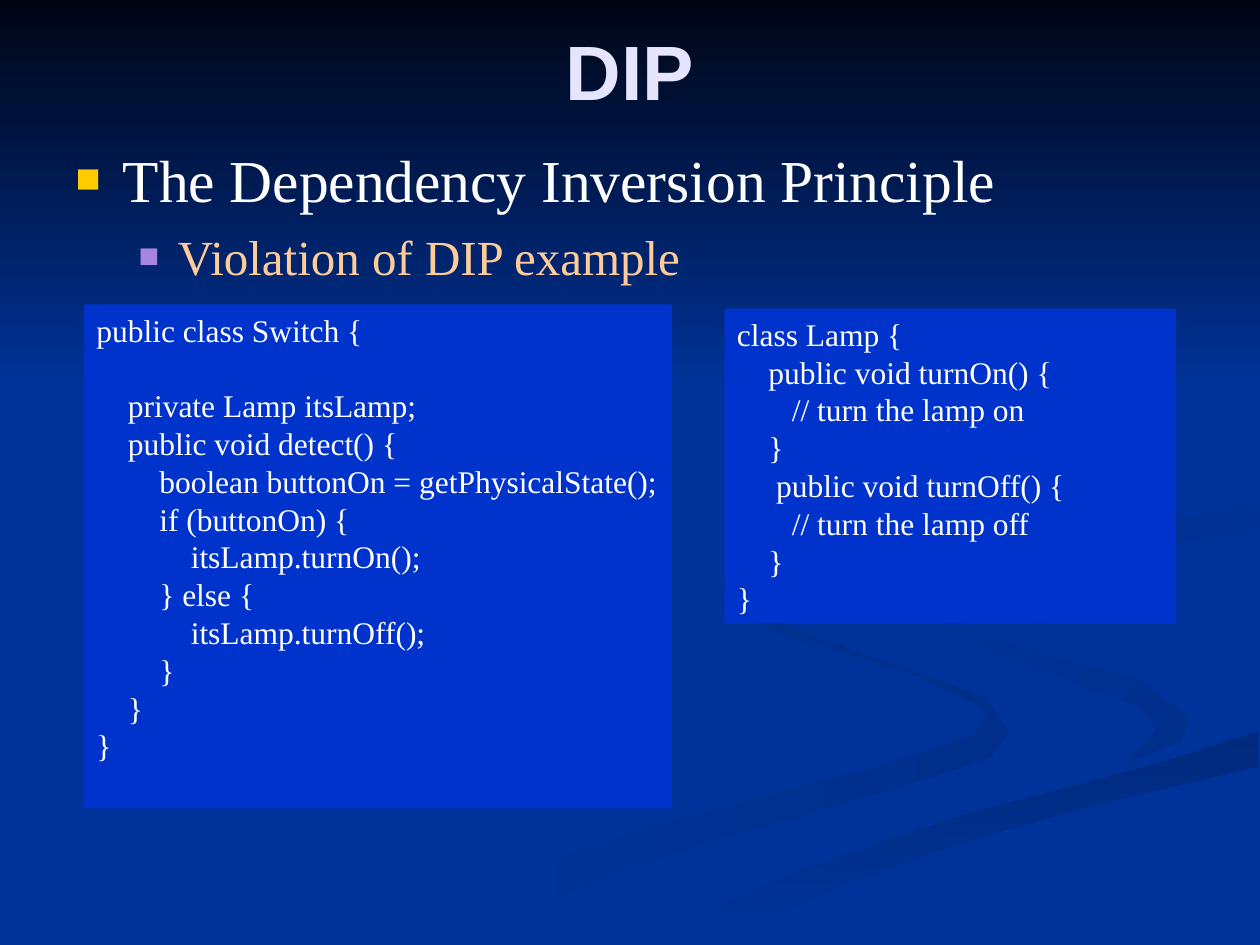
import pptx
import pptx.util
import pptx.dml.color
import pptx.enum.shapes
import pptx.enum.text
from lxml import etree

Pt = pptx.util.Pt
ALIGN = pptx.enum.text.PP_ALIGN
ANCHOR = pptx.enum.text.MSO_ANCHOR
RECTANGLE = pptx.enum.shapes.MSO_SHAPE.RECTANGLE
NAVY = "003399"


def color(value):
    return pptx.dml.color.RGBColor.from_string(value)


def add_run(paragraph, text, size, font, value):
    run = paragraph.add_run()
    run.text = text
    run.font.size = Pt(size)
    run.font.name = font
    run.font.color.rgb = color(value)
    return run


deck = pptx.Presentation()
deck.slide_width, deck.slide_height = Pt(720), Pt(540)
slide = deck.slides.add_slide(deck.slide_layouts[1])
slide.background.fill.solid()
slide.background.fill.fore_color.rgb = color(NAVY)

# Background swirls: start colour, end colour, clockwise angle, outline in points
swirls = [
    (NAVY, "002E8B", 0, [
        (414, 330), (412, 343), (440, 360), (524, 386), (565, 406), (557, 420), (503, 438),
        (388, 467), (300, 497), (216, 539), (260, 539), (359, 495), (503, 453), (566, 433),
        (576, 418), (562, 398), (491, 373), (428, 349)]),
    (NAVY, "002E8B", 45, [
        (679, 410), (652, 389), (557, 362), (521, 334), (537, 360), (603, 386),
        (653, 405), (661, 418), (644, 436), (675, 423)]),
    ("002A7D", NAVY, 90, [
        (362, 539), (411, 539), (467, 511), (541, 484), (620, 461), (719, 438), (719, 418),
        (663, 436), (550, 466), (454, 499)]),
    ("002D86", NAVY, 45, [
        (562, 331), (566, 341), (595, 357), (580, 343), (587, 330), (632, 316), (719, 302),
        (719, 289), (623, 305), (575, 318)]),
    ("002B82", NAVY, 45, [
        (492, 310), (594, 289), (636, 267), (641, 233), (607, 198), (549, 168), (609, 201),
        (640, 241), (620, 266), (487, 298), (430, 315), (416, 333), (448, 360), (427, 338),
        (442, 323)]),
]
backdrop = []
for start, end, angle, outline in swirls:
    builder = slide.shapes.build_freeform(*outline[0], scale=Pt(1))
    builder.add_line_segments(outline[1:], close=True)
    backdrop.append((builder.convert_to_shape(), start, end, angle))

# Dark band fading down from the top edge
sky = slide.shapes.add_shape(RECTANGLE, 0, 0, Pt(720), Pt(222))
backdrop.append((sky, "000514", NAVY, 90))

for part, start, end, angle in backdrop:
    part.shadow.inherit = False
    part.line.fill.background()
    part.fill.gradient()
    part.fill.gradient_angle = -angle % 360
    for stop, value in zip(part.fill.gradient_stops, (start, end)):
        stop.color.rgb = color(value)

# Title and list go in front of the backdrop
title, body = slide.shapes.title, slide.placeholders[1]
for placeholder, box in ((title, (36, 12, 648, 56)), (body, (36, 78, 648, 404))):
    slide.shapes._spTree.append(placeholder._element)
    placeholder.left, placeholder.top, placeholder.width, placeholder.height = map(Pt, box)

title.text_frame.vertical_anchor = ANCHOR.MIDDLE
heading = title.text_frame.paragraphs[0]
heading.alignment = ALIGN.CENTER
add_run(heading, "DIP", 44, "Arial", "E5E5FF").font.bold = True

# List: text, size, colour, bullet colour, left indent, hanging indent, space before
topics = [
    ("The Dependency Inversion Principle", 34, "FFFFFF", "FFCC00", 27, 27, 0),
    ("Violation of DIP example", 28, "FFCC99", "A886E0", 58.5, 22.5, 7),
]
for level, (text, size, value, bullet_color, indent, hanging, before) in enumerate(topics):
    topic = body.text_frame.add_paragraph() if level else body.text_frame.paragraphs[0]
    topic.level = level
    topic.space_before = Pt(before)
    topic.line_spacing = Pt(size * 1.2)
    properties = topic._p.get_or_add_pPr()
    properties.set("marL", str(Pt(indent)))
    properties.set("indent", str(-Pt(hanging)))
    namespace = properties.nsmap["a"]
    bullet = etree.SubElement(properties, f"{{{namespace}}}buClr")
    etree.SubElement(bullet, f"{{{namespace}}}srgbClr", val=bullet_color)
    etree.SubElement(properties, f"{{{namespace}}}buSzPct", val="70000")
    etree.SubElement(properties, f"{{{namespace}}}buFont", typeface="Arial")
    etree.SubElement(properties, f"{{{namespace}}}buChar", char="■")
    add_run(topic, text, size, "Times New Roman", value)

# Code panels
switch_code = """public class Switch {

    private Lamp itsLamp;
    public void detect() {
        boolean buttonOn = getPhysicalState();
        if (buttonOn) {
            itsLamp.turnOn();
        } else {
            itsLamp.turnOff();
        }
    }
}"""
lamp_code = """class Lamp {
    public void turnOn() {
       // turn the lamp on
    }
     public void turnOff() {
       // turn the lamp off
    }
}"""
LINE_HEIGHT = 21.6
for code, box in ((switch_code, (48, 174, 336, 288)), (lamp_code, (414, 176.4, 258, 180))):
    panel = slide.shapes.add_shape(RECTANGLE, *map(Pt, box))
    panel.shadow.inherit = False
    panel.fill.solid()
    panel.fill.fore_color.rgb = color("0033CC")
    panel.line.fill.background()
    frame = panel.text_frame
    frame.word_wrap = True
    frame.vertical_anchor = ANCHOR.TOP
    line, gap = frame.paragraphs[0], 0
    for number, text in enumerate(code.split("\n")):
        if not text:
            gap = LINE_HEIGHT
            continue
        if number:
            line = frame.add_paragraph()
        line.alignment = ALIGN.LEFT
        line.line_spacing = Pt(LINE_HEIGHT)
        line.space_before = Pt(gap)
        add_run(line, text, 18, "Times New Roman", "FFFFFF")
        gap = 0

deck.save("out.pptx")
